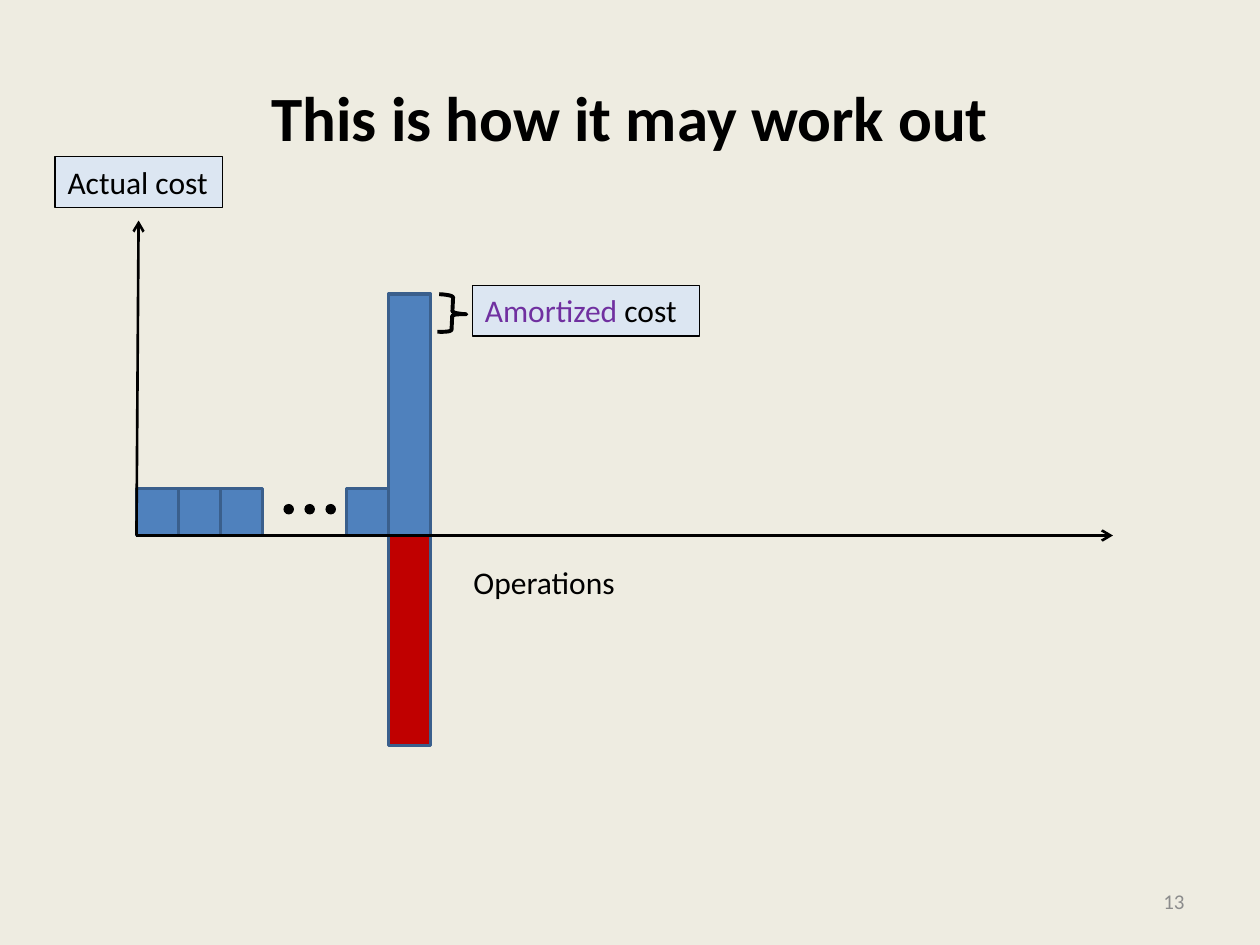
from lxml import etree
from pptx import Presentation
from pptx.dml.color import RGBColor
from pptx.enum.shapes import MSO_CONNECTOR as Conn, MSO_SHAPE as Kind
from pptx.enum.text import MSO_ANCHOR as Anchor, PP_ALIGN as Align
from pptx.oxml.ns import qn
from pptx.util import Pt

BLUE, EDGE, RED, PALE = "4F81BD", "3A5F8C", "C00000", "DCE6F2"
BLACK, GRAY, PURPLE = "000000", "8C8C8C", "7030A0"
LEFT, BASE, STEP = 78, 306, 24  # origin of the axes and width of a bar


def hue(code):
    return RGBColor.from_string(code)


def write(runs, x, y, w, h, size=18, bold=False, align=Align.LEFT,
          anchor=Anchor.TOP, wrap=True, fill=None):
    """Add a text box from (text, colour) runs; a filled one gets a thin frame."""
    box = deck.shapes.add_textbox(Pt(x), Pt(y), Pt(w), Pt(h))
    if fill:
        box.fill.solid()
        box.fill.fore_color.rgb = hue(fill)
        box.line.color.rgb = hue(BLACK)
        box.line.width = Pt(0.75)
    frame = box.text_frame
    frame.word_wrap = wrap
    frame.vertical_anchor = anchor
    par = frame.paragraphs[0]
    par.alignment = align
    for text, color in runs:
        run = par.add_run()
        run.text = text
        run.font.name = "Calibri"
        run.font.size = Pt(size)
        run.font.bold = bold
        run.font.color.rgb = hue(color)


show = Presentation()
show.slide_width, show.slide_height = Pt(720), Pt(540)
deck = show.slides.add_slide(show.slide_layouts[6])
deck.background.fill.solid()
deck.background.fill.fore_color.rgb = hue("EEECE1")

write([("This is how it may work out", BLACK)], 36, 21.6, 648, 90, size=36,
      bold=True, align=Align.CENTER, anchor=Anchor.MIDDLE)
write([("13", GRAY)], 516, 500.5, 168, 28.75, size=12, align=Align.RIGHT,
      anchor=Anchor.MIDDLE)

# Bars: slot along the axis, top, height, fill
bars = [(slot, BASE - 27, 27, BLUE) for slot in (0, 1, 2, 5)]
bars += [(6, BASE - 138, 138, BLUE), (6, BASE, 120, RED)]
for slot, top, high, color in bars:
    bar = deck.shapes.add_shape(Kind.RECTANGLE, Pt(LEFT + slot * STEP), Pt(top),
                                Pt(STEP), Pt(high))
    bar.shadow.inherit = False
    bar.fill.solid()
    bar.fill.fore_color.rgb = hue(color)
    bar.line.color.rgb = hue(EDGE)
    bar.line.width = Pt(2)

# Dots for the bars left out
for i in range(3):
    dot = deck.shapes.add_shape(Kind.OVAL, Pt(162 + 12 * i), Pt(288), Pt(6), Pt(6))
    dot.shadow.inherit = False
    dot.fill.solid()
    dot.fill.fore_color.rgb = hue(BLACK)
    dot.line.fill.background()

# Axes
for x, y in ((79.2, 126), (636, BASE)):
    axis = deck.shapes.add_connector(Conn.STRAIGHT, Pt(LEFT), Pt(BASE), Pt(x), Pt(y))
    axis.line.color.rgb = hue(BLACK)
    axis.line.width = Pt(1.5)
    etree.SubElement(axis.line._get_or_add_ln(), qn("a:tailEnd"), type="arrow")
    etree.SubElement(axis._element.spPr, qn("a:effectLst"))

brace = deck.shapes.add_shape(Kind.RIGHT_BRACE, Pt(250.5), Pt(168.5), Pt(16), Pt(21.5))
brace.rotation = 2.7
brace.shadow.inherit = False
brace.fill.background()
brace.line.color.rgb = hue(BLACK)
brace.line.width = Pt(2.25)

write([("Actual cost", BLACK)], 31.5, 89.5, 95.5, 29, wrap=False, fill=PALE)
write([("Operations", BLACK)], 263.5, 318, 96.5, 29, wrap=False)
write([("Amortized ", PURPLE), ("cost", BLACK)], 270, 163, 129.6, 29, fill=PALE)

show.save("out.pptx")
